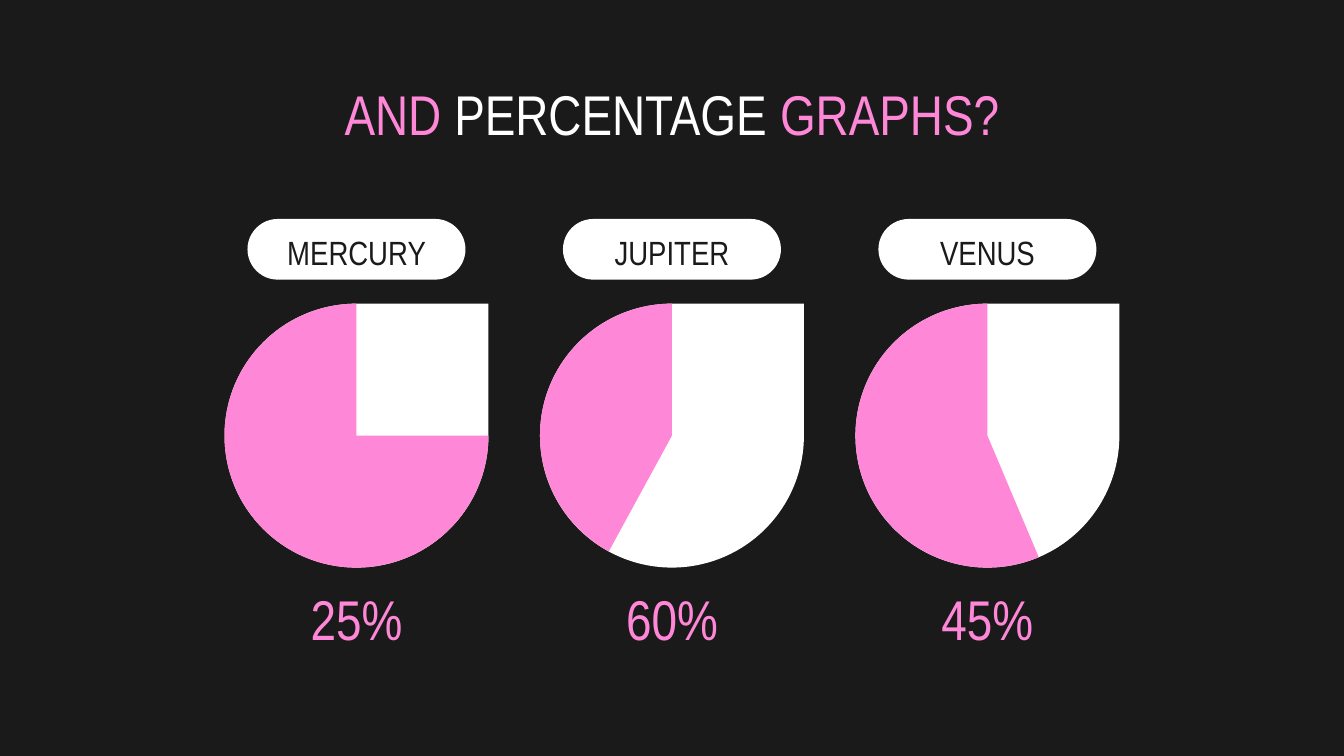
from typing import NamedTuple

from pptx import Presentation
from pptx.dml.color import RGBColor as Rgb
from pptx.enum.shapes import MSO_SHAPE as Kind
from pptx.enum.text import MSO_ANCHOR as Anchor, MSO_AUTO_SIZE as Fit, PP_ALIGN as Align
from pptx.util import Pt

HUES = {"dark": "1A1A1A", "pink": "FF87D7", "white": "FFFFFF"}
FONT = "Arial Narrow"
MID, STEP = 360, 169  # centre of the middle column, gap between centres
TOP = 270 * 0.6  # pie adjustments count 0.6 per degree


class Box(NamedTuple):
    left: float
    top: float
    width: float
    height: float


class Planet(NamedTuple):
    name: str
    share: str
    angle: float  # where the pink slice starts, in degrees


PLANETS = [
    Planet("MERCURY", "25%", 0),
    Planet("JUPITER", "60%", 118.6),
    Planet("VENUS", "45%", 67.1),
]


def hue(name: str) -> Rgb:
    return Rgb.from_string(HUES[name])


def around(mid: float, top: float, width: float, height: float) -> Box:
    """Box centred across on mid."""
    return Box(mid - width / 2, top, width, height)


def place(shape, box: Box) -> None:
    for key, size in box._asdict().items():
        setattr(shape, key, Pt(size))


def write(shape, runs: list[tuple[str, str]], size: float, anchor) -> None:
    """Fill a text shape with (text, colour) runs on one centred line."""
    frame = shape.text_frame
    look = {"word_wrap": True, "auto_size": Fit.NONE, "vertical_anchor": anchor}
    sides = ("left", "top", "right", "bottom")
    look |= {f"margin_{side}": Pt(7.2) for side in sides}
    for key, value in look.items():
        setattr(frame, key, value)
    para = frame.paragraphs[0]
    para.alignment = Align.CENTER
    for text, tone in runs:
        run = para.add_run()
        run.text = text
        for key, value in {"name": FONT, "size": Pt(size), "bold": False}.items():
            setattr(run.font, key, value)
        run.font.color.rgb = hue(tone)


def label(slide, box: Box, text: str, tone: str, size: float) -> None:
    shape = slide.shapes.add_textbox(*map(Pt, box))
    write(shape, [(text, tone)], size, Anchor.MIDDLE)


def draw(slide, kind, box: Box, tone: str, *adjust: float) -> None:
    """Add a flat preset shape without an outline."""
    shape = slide.shapes.add_shape(kind, *map(Pt, box))
    shape.shadow.inherit = False
    shape.fill.solid()
    shape.fill.fore_color.rgb = hue(tone)
    shape.line.fill.background()
    for i, value in enumerate(adjust):
        shape.adjustments[i] = value


def column(slide, planet: Planet, mid: float) -> None:
    draw(slide, Kind.ROUNDED_RECTANGLE, around(mid, 117.3, 116.8, 32.5), "white", 0.5)
    label(slide, around(mid, 123, 99.4, 24), planet.name, "dark", 18)
    disc = around(mid, 162.7, 141.4, 141.4)
    draw(slide, Kind.TEAR, disc, "white", 1)
    draw(slide, Kind.PIE, disc, "pink", planet.angle * 0.6, TOP)
    label(slide, around(mid, 312.5, 104.4, 37.4), planet.share, "pink", 30)


def main() -> None:
    deck = Presentation()
    deck.slide_width, deck.slide_height = Pt(720), Pt(405)
    slide = deck.slides.add_slide(deck.slide_layouts[5])
    slide.background.fill.solid()
    slide.background.fill.fore_color.rgb = hue("dark")
    title = slide.shapes.title
    place(title, around(MID, 35.3, 607, 45.4))
    runs = [("AND ", "pink"), ("PERCENTAGE", "white"), (" GRAPHS?", "pink")]
    write(title, runs, 30, Anchor.TOP)
    for i, planet in enumerate(PLANETS):
        column(slide, planet, MID + (i - 1) * STEP)
    deck.save("out.pptx")


if __name__ == "__main__":
    main()
